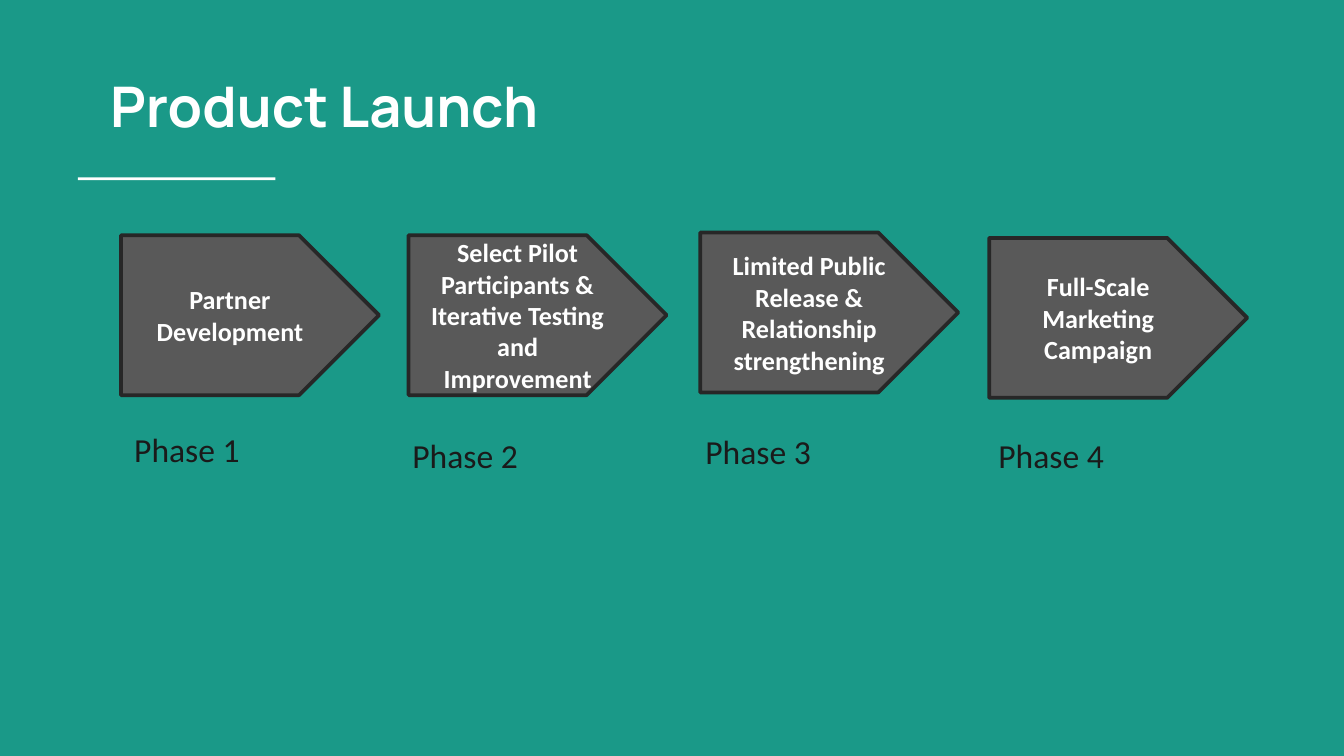
from pptx import Presentation
from pptx import util as u
from pptx.dml.color import RGBColor
from pptx.enum import shapes, text

TITLE = "Product Launch"
PHASES = [
    (0.9, 1.75, "Partner Development", 0.9, 3.14),
    (3.04, 1.75, "Select Pilot Participants &\vIterative Testing and Improvement", 2.97, 3.19),
    (5.21, 1.73, "Limited Public Release &\nRelationship strengthening", 5.15, 3.16),
    (7.36, 1.77, "Full-Scale Marketing Campaign", 7.33, 3.19),
]
COLORS = {
    "back": "1A9988",
    "white": "FFFFFF",
    "arrow": "595959",
    "edge": "272727",
    "label": "1A1A1A",
}
KIND = shapes.MSO_SHAPE


def color(name):
    return RGBColor.from_string(COLORS[name])


def write(shape, words, size, tint="white", font="Calibri", bold=False,
          align=text.PP_ALIGN.LEFT, anchor=text.MSO_ANCHOR.TOP, pad=0.05):
    frame = shape.text_frame
    frame.text = words
    frame.word_wrap = True
    frame.auto_size = text.MSO_AUTO_SIZE.NONE
    frame.vertical_anchor = anchor
    frame.margin_left = frame.margin_right = u.Inches(0.1)
    frame.margin_top = frame.margin_bottom = u.Inches(pad)
    for para in frame.paragraphs:
        para.alignment = align
        for run in para.runs:
            run.font.size = u.Pt(size)
            run.font.name = font
            run.font.bold = bold
            run.font.color.rgb = color(tint)


def box(slide, kind, area, fill, edge=None):
    shape = slide.shapes.add_shape(kind, *map(u.Inches, area))
    shape.shadow.inherit = False
    shape.fill.solid()
    shape.fill.fore_color.rgb = color(fill)
    if edge:
        shape.line.color.rgb = color(edge)
        shape.line.width = u.Pt(2)
    else:
        shape.line.fill.background()
    return shape


def main():
    deck = Presentation()
    deck.slide_width, deck.slide_height = u.Inches(10), u.Inches(10 * 9 / 16)
    slide = deck.slides.add_slide(deck.slide_layouts[5])
    slide.background.fill.solid()
    slide.background.fill.fore_color.rgb = color("back")

    title = slide.shapes.title
    title.left, title.top = u.Inches(0.72), u.Inches(0.43)
    title.width, title.height = u.Inches(9.19), u.Inches(0.71)
    write(title, TITLE, 30, font="Manrope", bold=True, pad=0.1)
    box(slide, KIND.RECTANGLE, (0.58, 1.32, 1.47, 0.02), "white")

    for number, (left, top, words, x, y) in enumerate(PHASES, 1):
        arrow = box(slide, KIND.PENTAGON, (left, top, 1.92, 1.19), "arrow", "edge")
        write(arrow, words, 14, bold=True, align=text.PP_ALIGN.CENTER,
              anchor=text.MSO_ANCHOR.MIDDLE)
        label = slide.shapes.add_textbox(*map(u.Inches, (x, y, 1.41, 0.4)))
        write(label, f"Phase {number}", 18, tint="label")

    deck.save("out.pptx")


if __name__ == "__main__":
    main()
